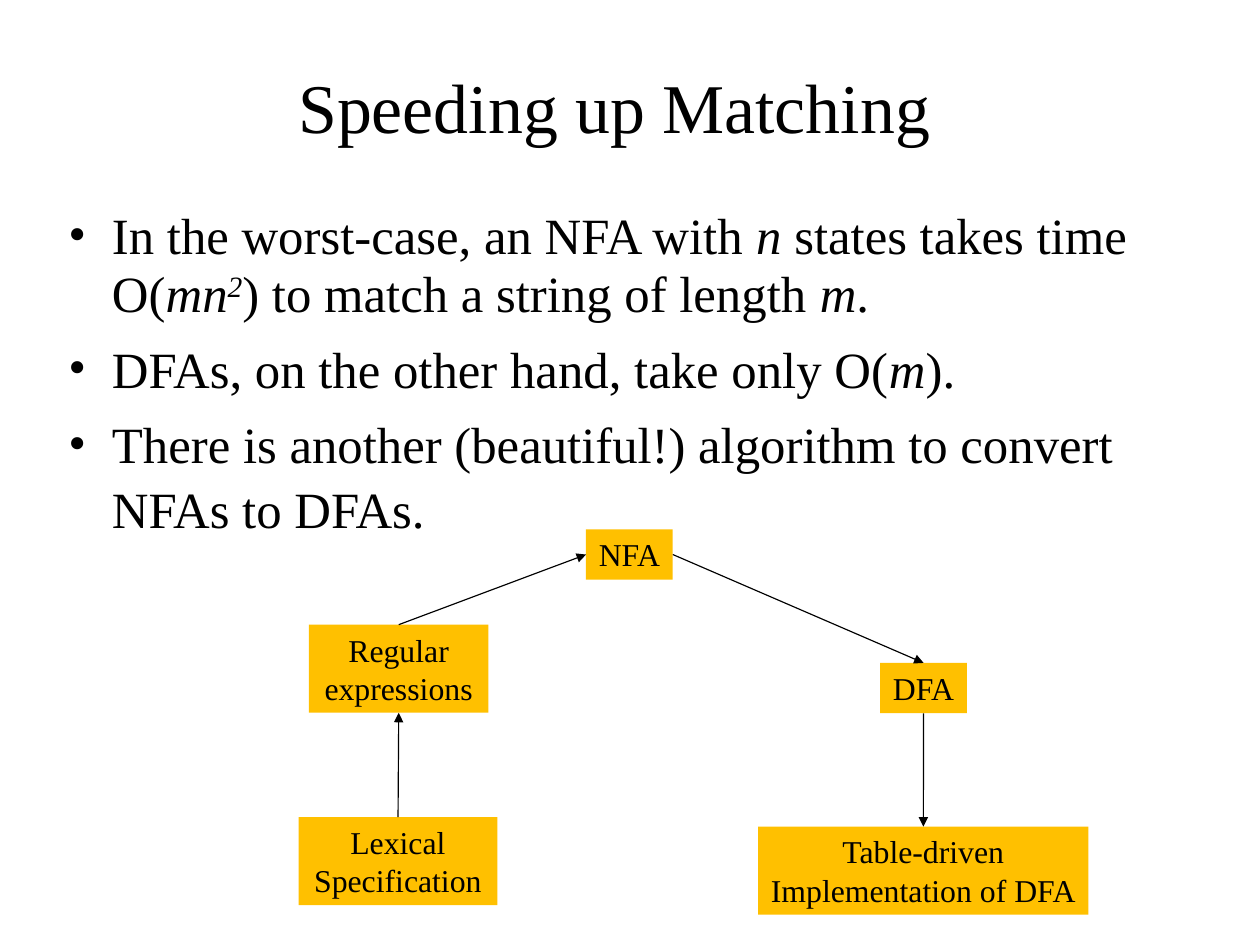
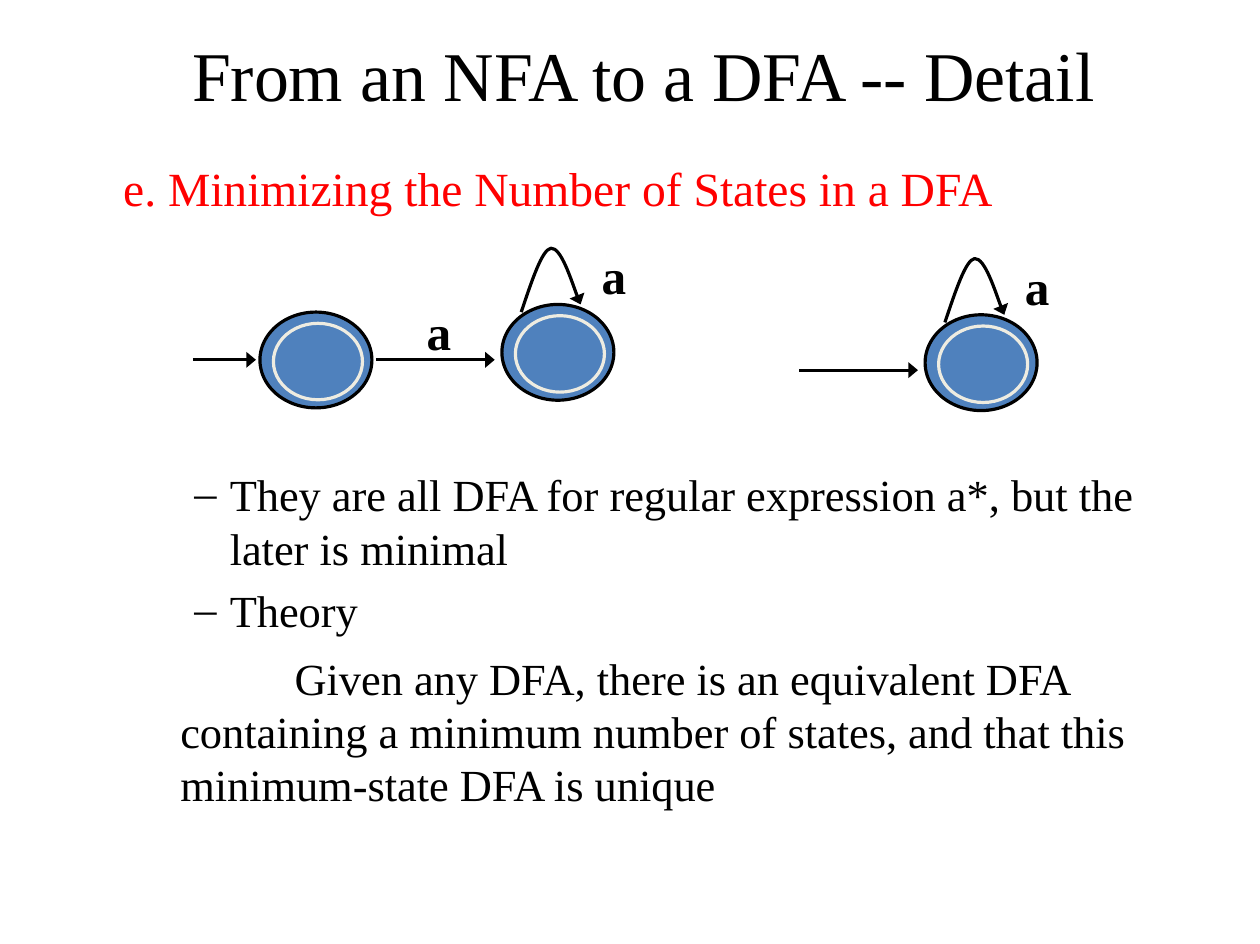
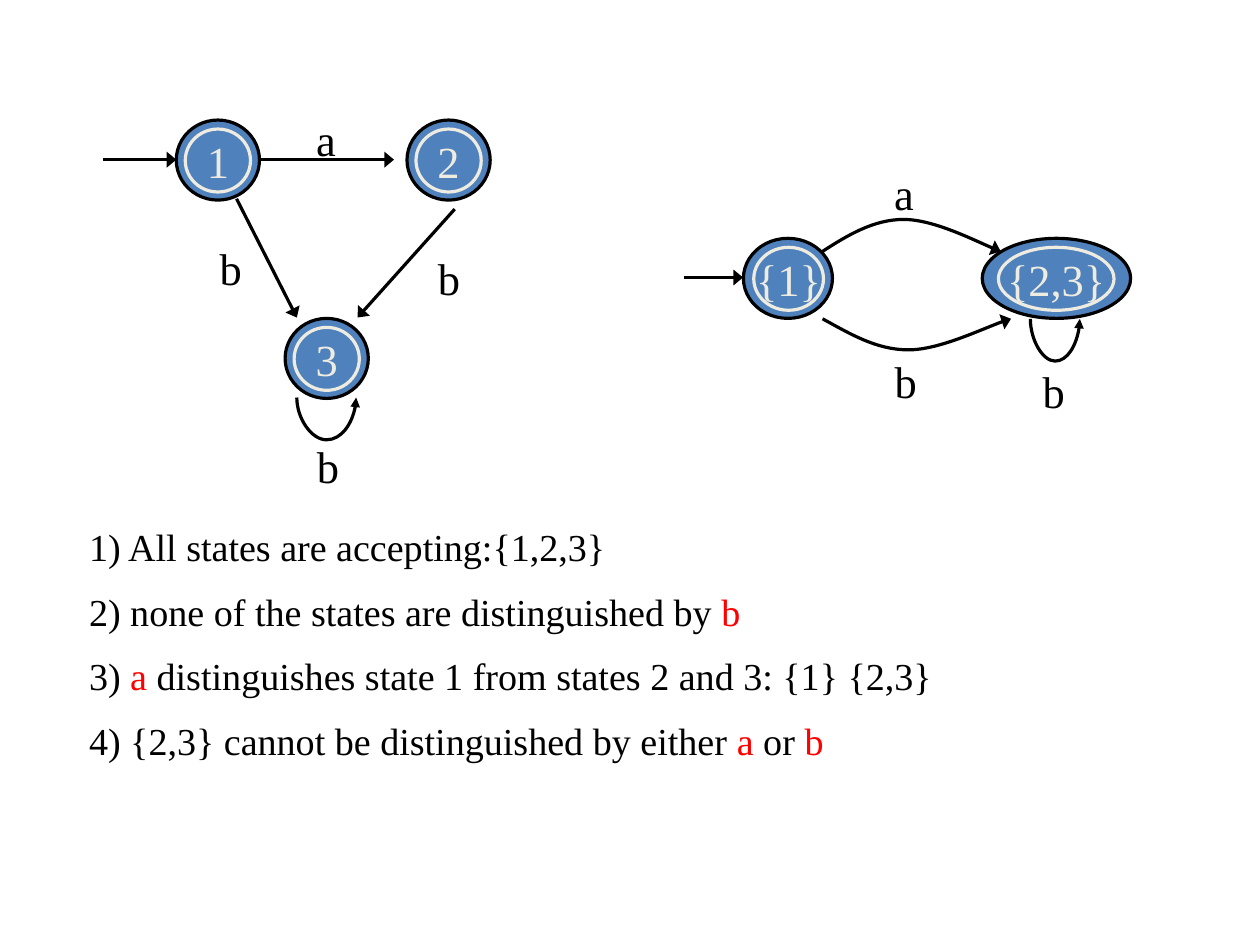
from lxml import etree
from pptx import Presentation
from pptx.dml.color import RGBColor
from pptx.enum.shapes import MSO_CONNECTOR, MSO_SHAPE
from pptx.enum.text import MSO_ANCHOR, PP_ALIGN
from pptx.oxml.ns import qn
from pptx.util import Cm, Emu, Pt

RECTANGLE, OVAL = MSO_SHAPE.RECTANGLE, MSO_SHAPE.OVAL
STRAIGHT = MSO_CONNECTOR.STRAIGHT
TOP, MIDDLE = MSO_ANCHOR.TOP, MSO_ANCHOR.MIDDLE
LEFT, CENTER = PP_ALIGN.LEFT, PP_ALIGN.CENTER
SIDE_TOP, SIDE_LEFT, SIDE_BOTTOM, SIDE_RIGHT = range(4)

BLACK = RGBColor(0x00, 0x00, 0x00)
RED = RGBColor(0xFF, 0x00, 0x00)
AMBER = RGBColor(0xFF, 0xC0, 0x00)
BLUE = RGBColor(0x4F, 0x81, 0xBD)
CREAM = RGBColor(0xEE, 0xEC, 0xE1)
FONT = "Times New Roman"
TITLE_SIZE = 44


def write(shape, paragraphs, size=28, color=BLACK, bold=False, align=LEFT, anchor=TOP,
          wrap=True, before=0, line=None, indents=()):
    frame = shape.text_frame
    frame.word_wrap = wrap
    frame.vertical_anchor = anchor
    for index, spans in enumerate(paragraphs):
        para = frame.add_paragraph() if index else frame.paragraphs[0]
        if indents:
            margin, indent, bullet = indents[index]
            properties = para._p.get_or_add_pPr()
            properties.set("marL", str(Cm(margin)))
            properties.set("indent", str(Cm(indent)))
            if bullet:
                etree.SubElement(properties, qn("a:buFont")).set("typeface", FONT)
                etree.SubElement(properties, qn("a:buChar")).set("char", bullet)
        para.alignment = align
        para.line_spacing = Pt(line or size * 1.2)
        para.space_before = Pt(before if index else 0)
        for text, style in [(spans, "")] if isinstance(spans, str) else spans:
            span = para.add_run()
            span.text = text
            span.font.name = FONT
            span.font.size = Pt(size)
            span.font.bold = bold
            span.font.italic = style in ("italic", "power")
            span.font.color.rgb = RED if style == "red" else color
            if style == "power":
                span.font._element.set("baseline", "30000")
    return frame


def make_arrow(shape, weight, head="med"):
    shape.line.color.rgb = BLACK
    shape.line.width = Pt(weight)
    properties = shape.element.spPr
    tail = etree.SubElement(properties.get_or_add_ln(), qn("a:tailEnd"))
    tail.set("type", "triangle")
    tail.set("w", head)
    etree.SubElement(properties, qn("a:effectLst"))


deck = Presentation()
deck.slide_width, deck.slide_height = Emu(10085388), Emu(7556500)
matching, minimizing, example = [deck.slides.add_slide(deck.slide_layouts[6]) for _ in range(3)]

title = matching.shapes.add_textbox(Cm(1.27), Cm(0.76), Cm(24.79), Cm(3.18))
write(title, ["Speeding up Matching"], size=TITLE_SIZE, align=CENTER, anchor=MIDDLE)

title = minimizing.shapes.add_textbox(Cm(4.27), Cm(0.76), Cm(20.65), Cm(1.96))
frame = write(title, ["From an NFA to a DFA -- Detail"], size=TITLE_SIZE, anchor=MIDDLE, line=51)
frame.margin_left = frame.margin_right = frame.margin_top = 0

body = matching.shapes.add_textbox(Cm(1.27), Cm(4.45), Cm(24.79), Cm(12.57))
frame = write(body, [
    [("In the worst-case, an NFA with ", ""), ("n", "italic"), (" states takes time O(", ""),
     ("mn", "italic"), ("2", "power"), (") to match a string of length ", ""),
     ("m", "italic"), (".", "")],
    [("DFAs, on the other hand, take only O(", ""), ("m", "italic"), (").", "")],
    "There is another (beautiful!) algorithm to convert NFAs to DFAs.",
], size=32, before=6.4, line=41, indents=[(0.97, -0.97, "•")] * 3)
frame.paragraphs[0].line_spacing = Pt(37)

steps = {}
for name, lines, left, top, width, height in [
    ("regex", ["Regular", "expressions"], 6.87, 13.89, 3.99, 1.96),
    ("nfa", ["NFA"], 13.03, 11.77, 1.93, 1.12),
    ("dfa", ["DFA"], 19.57, 14.74, 1.93, 1.12),
    ("lexical", ["Lexical", "Specification"], 6.64, 18.17, 4.42, 1.96),
    ("table", ["Table-driven", "Implementation of DFA"], 16.86, 18.38, 7.34, 1.96),
]:
    box = matching.shapes.add_shape(RECTANGLE, Cm(left), Cm(top), Cm(width), Cm(height))
    box.shadow.inherit = False
    box.fill.solid()
    box.fill.fore_color.rgb = AMBER
    box.line.fill.background()
    write(box, lines, size=20, align=CENTER, wrap=False)
    steps[name] = box

for source, source_side, target, target_side in [
    ("lexical", SIDE_TOP, "regex", SIDE_BOTTOM),
    ("regex", SIDE_TOP, "nfa", SIDE_LEFT),
    ("nfa", SIDE_RIGHT, "dfa", SIDE_TOP),
    ("dfa", SIDE_BOTTOM, "table", SIDE_TOP),
]:
    arrow = matching.shapes.add_connector(STRAIGHT, 0, 0, 0, 0)
    arrow.begin_connect(steps[source], source_side)
    arrow.end_connect(steps[target], target_side)
    make_arrow(arrow, 0.75)

heading = minimizing.shapes.add_textbox(Cm(2.49), Cm(3.54), Cm(23), Cm(1.42))
write(heading, ["e. Minimizing the Number of States in a DFA"], size=30, color=RED, line=32.4)

body = minimizing.shapes.add_textbox(Cm(2.79), Cm(10.27), Cm(23.8), Cm(9.55))
frame = write(body, [
    "They are all DFA for regular expression a*, but the later is minimal",
    "Theory",
    "Given any DFA, there is an equivalent DFA containing a minimum number of states, "
    "and that this minimum-state DFA is unique",
], before=5.6, indents=[(2.07, -0.79, "–")] * 2 + [(0.97, 2.54, "")])
frame.paragraphs[2].space_before = Pt(9.3)

large = (2.49, 2.13, 0.3, 0.25, 1.98, 1.7)
small = (1.85, 1.78, 0.2, 0.2, 1.45, 1.4)
single = (1.98, 1.78, 0.23, 0.2, 1.55, 1.4)
pair = (3.3, 1.78, 0.36, 0.2, 2.57, 1.4)
for page, label, left, top, size in [
    (minimizing, "", 5.78, 6.94, large),
    (minimizing, "", 11.16, 6.77, large),
    (minimizing, "", 20.57, 7, large),
    (example, "1", 3.92, 2.67, small),
    (example, "2", 9.05, 2.67, small),
    (example, "3", 6.34, 7.08, small),
    (example, "{1}", 16.53, 5.3, single),
    (example, "{2,3}", 21.84, 5.3, pair),
]:
    width, height, inset_x, inset_y, inner_width, inner_height = size
    for x, y, ring_width, ring_height, color in [
        (left, top, width, height, BLACK),
        (left + inset_x, top + inset_y, inner_width, inner_height, CREAM),
    ]:
        ring = page.shapes.add_shape(OVAL, Cm(x), Cm(y), Cm(ring_width), Cm(ring_height))
        ring.shadow.inherit = False
        ring.fill.solid()
        ring.fill.fore_color.rgb = BLUE
        ring.line.color.rgb = color
        ring.line.width = Pt(2)
    if label:
        write(ring, [label], color=CREAM, align=CENTER, anchor=MIDDLE, wrap=False)

for page, *ends in [
    (minimizing, 4.29, 8, 5.69, 8),
    (minimizing, 8.36, 8, 11, 8),
    (minimizing, 17.77, 8.23, 20.41, 8.23),
    (example, 2.29, 3.55, 3.92, 3.55),
    (example, 5.79, 3.55, 8.76, 3.55),
    (example, 5.26, 4.42, 6.6, 7.06),
    (example, 10.11, 4.65, 7.95, 7.06),
    (example, 15.2, 6.17, 16.52, 6.17),
]:
    make_arrow(page.shapes.add_connector(STRAIGHT, *[Cm(end) for end in ends]), 2, "lg")

self_arc = [(0.23, -0.68), (0.46, -1.39), (0.66, -1.42), (0.89, -1.44), (1.22, -0.38), (1.32, -0.17)]
upper_arc = [(0.56, -0.36), (1.14, -0.71), (1.8, -0.71), (2.46, -0.71), (3.61, -0.13), (3.96, 0)]
lower_arc = [(0.61, 0.33), (1.19, 0.69), (1.91, 0.69), (2.59, 0.69), (3.81, 0.1), (4.19, 0)]
wide_loop, narrow_loop = [
    [(0, 0.47), (half / 2, 0.94), (half, 0.94), (half * 1.5, 0.94), (half * 2, 0.47), (half * 2, 0)]
    for half in (0.66, 0.55)
]
for page, x, y, offsets, head in [
    (minimizing, 11.59, 6.94, self_arc, "lg"),
    (minimizing, 21.01, 7.17, self_arc, "lg"),
    (example, 6.6, 8.84, wide_loop, "med"),
    (example, 22.91, 7.09, narrow_loop, "med"),
    (example, 18.29, 5.59, upper_arc, "lg"),
    (example, 18.29, 7.09, lower_arc, "lg"),
]:
    builder = page.shapes.build_freeform(Cm(x), Cm(y))
    builder.add_line_segments([(Cm(x + dx), Cm(y + dy)) for dx, dy in offsets], close=False)
    curve = builder.convert_to_shape()
    outline = next(curve.element.iter(qn("a:path")))
    segments = outline.findall(qn("a:lnTo"))
    for first in range(0, len(segments), 3):
        bend = etree.SubElement(outline, qn("a:cubicBezTo"))
        for segment in segments[first:first + 3]:
            bend.append(segment[0])
            outline.remove(segment)
    curve.fill.background()
    make_arrow(curve, 2, head)

for left, top in [(8.2, 6.58), (12.09, 5.33), (21.5, 5.58)]:
    label = minimizing.shapes.add_textbox(Cm(left), Cm(top), Cm(3.12), Cm(1.6))
    write(label, ["a"], size=31, bold=True, align=CENTER)

for letter, left, top in [
    ("a", 6.74, 2.36), ("b", 9.47, 5.46), ("b", 6.78, 9.63), ("b", 4.62, 5.23),
    ("a", 19.59, 3.56), ("b", 22.92, 7.96), ("b", 19.63, 7.75),
]:
    label = example.shapes.add_textbox(Cm(left), Cm(top), Cm(1.02), Cm(1.45))
    write(label, [letter], align=CENTER, anchor=MIDDLE, wrap=False)

notes = example.shapes.add_textbox(Cm(1.73), Cm(11.51), Cm(24.61), Cm(5.92))
write(notes, [
    "1) All states are accepting:{1,2,3}",
    [("2) none of the states are distinguished by ", ""), ("b", "red")],
    [("3) ", ""), ("a", "red"), (" distinguishes state 1 from states 2 and 3: {1} {2,3}", "")],
    [("4) {2,3} cannot be distinguished by either ", ""), ("a", "red"), (" or ", ""), ("b", "red")],
], size=24, before=12)

deck.save("out.pptx")
